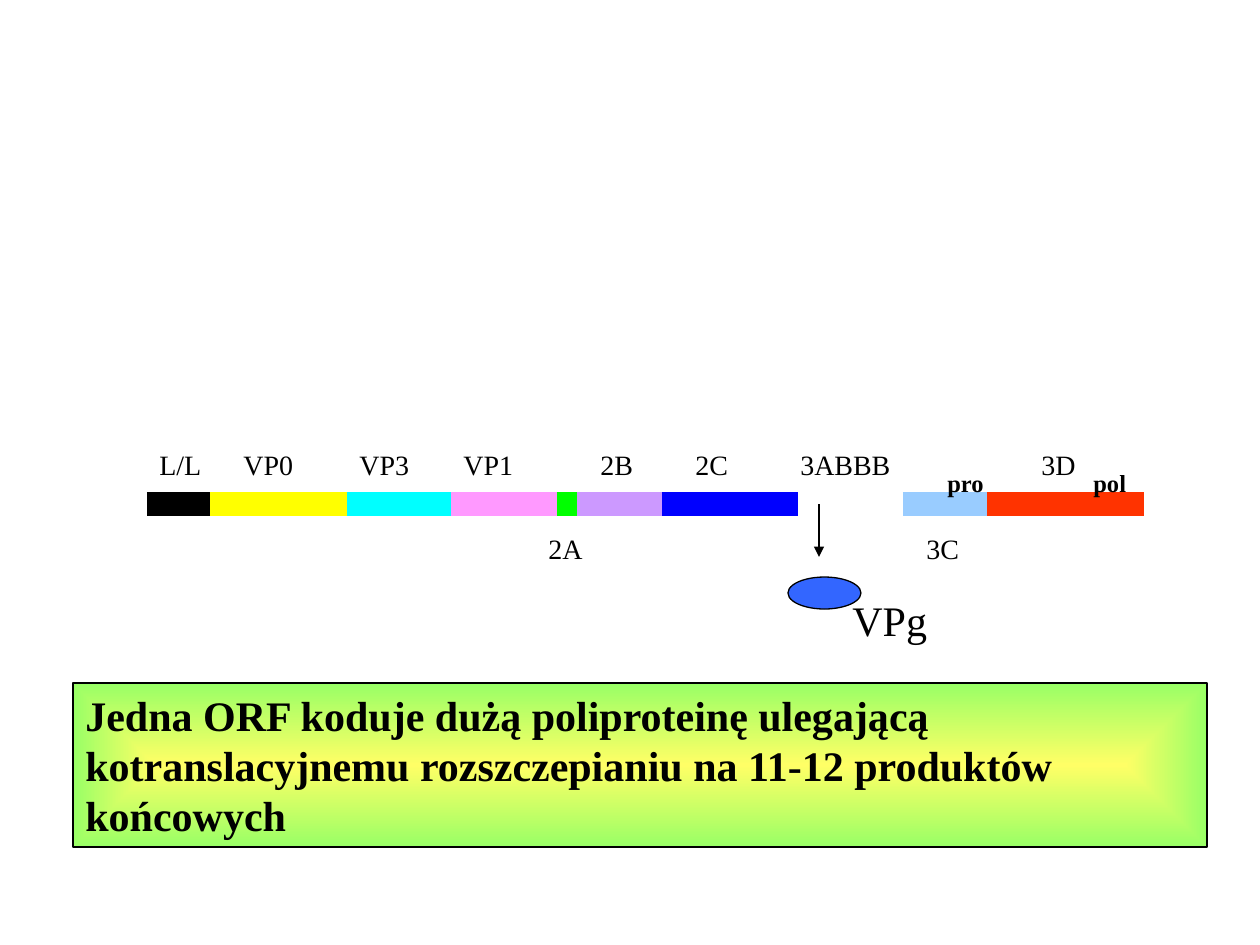
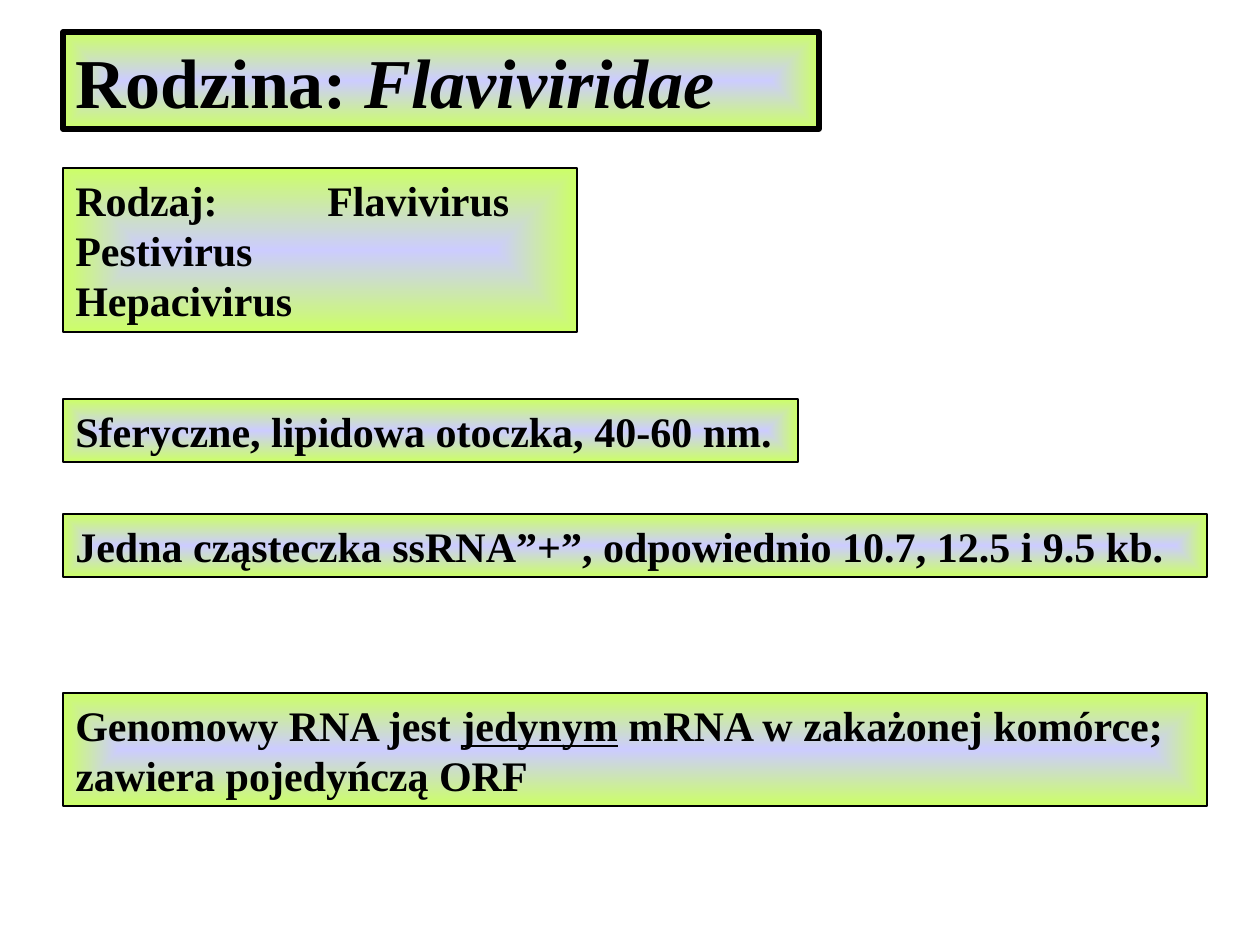
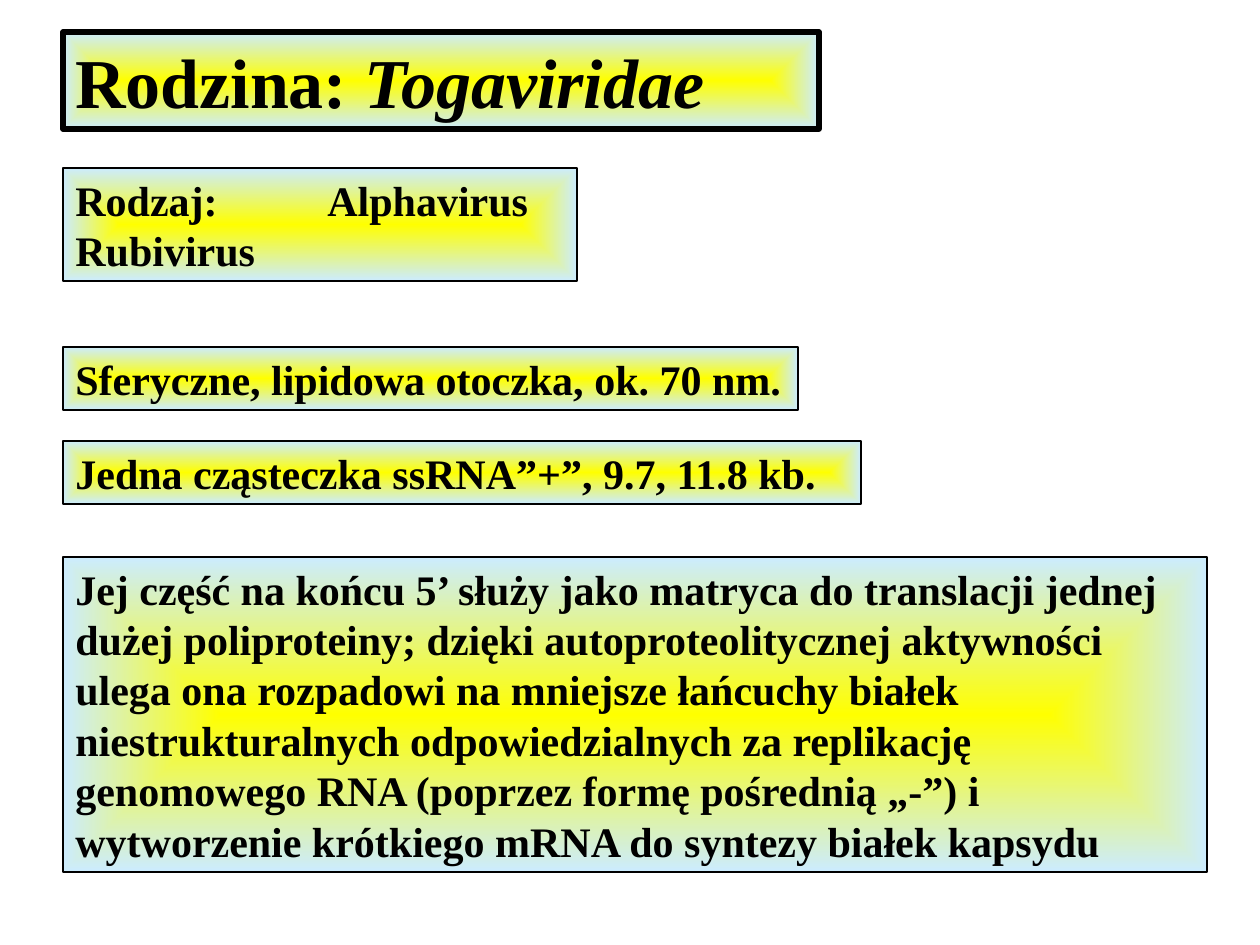
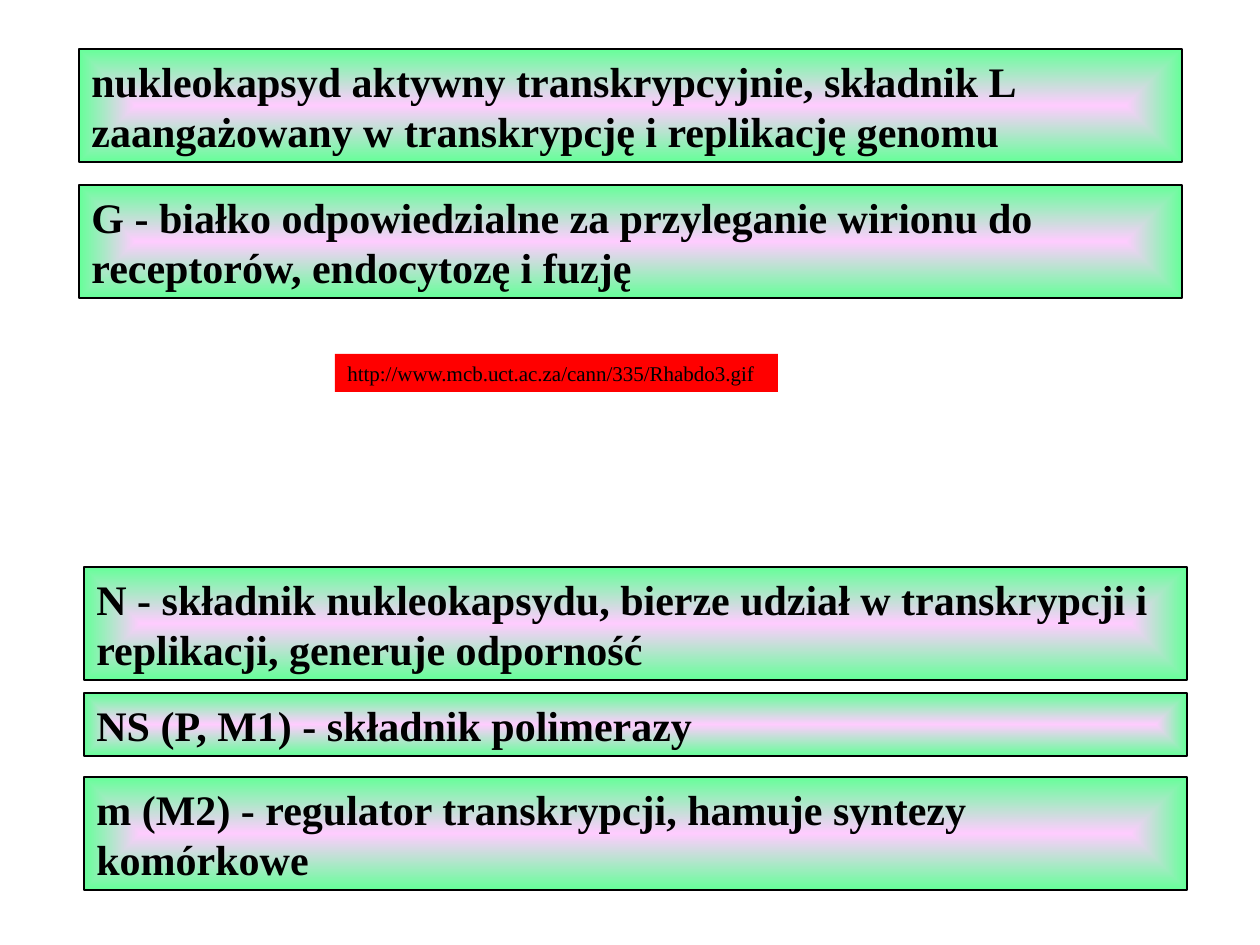
"""Build four slides on the genomes and proteins of RNA virus families."""
from lxml import etree
from pptx import Presentation
from pptx import util as u
from pptx.dml.color import RGBColor
from pptx.enum import shapes, text
from pptx.oxml.ns import qn

FONT = "Times New Roman"
SCALE = 914400 / 126
SLIDE_W, SLIDE_H = 1260, 945
HEIGHTS = {1: 63, 2: 113, 3: 164, 6: 315}
C = {
    "black": "000000", "white": "FFFFFF", "yellow": "FFFF00", "cyan": "00FFFF",
    "pink": "FF99FF", "green": "00FF00", "violet": "CC99FF", "blue": "0000FF",
    "sky": "99CCFF", "orange": "FF3300", "oval": "3366FF", "red": "FF0000",
}
GRADIENTS = {
    "orf": ("FFFF66", "99FF66"),
    "flavi": ("CCCCFF", "CCFF66"),
    "toga": ("FFFF00", "CCECFF"),
    "rhabdo": ("FFCCFF", "66FF99"),
}

GENOME_LEFT, GENOME_Y = 147, 504
GENOME = [
    ("black", 210), ("yellow", 347), ("cyan", 451), ("pink", 557), ("green", 577),
    ("violet", 662), ("blue", 798), ("white", 903), ("sky", 987), ("orange", 1144),
]
ABOVE, BELOW = 441, 525
GENE_LABELS = [
    ("L/L", 147, ABOVE, 73), ("VP0", 231, ABOVE, 95), ("VP3", 347, ABOVE, 95),
    ("VP1", 451, ABOVE, 95), ("2A", 536, BELOW, 95), ("2B", 588, ABOVE, 95),
    ("2C", 683, ABOVE, 95), ("3ABBB", 788, ABOVE, 116), ("3C", 914, BELOW, 95),
    ("3D", 1029, ABOVE, 95),
]
ENZYME_LABELS = [("pro", 935), ("pol", 1081)]
ORF = [(73, 683, 1134, 3, ["Jedna ORF koduje dużą poliproteinę ulegającą "
        "kotranslacyjnemu rozszczepianiu na 11-12 produktów końcowych"])]

FAMILIES = [
    ("flavi", "Flaviviridae", [
        (63, 168, 514, 3, ["Rodzaj:\tFlavivirus\vPestivirus\vHepacivirus"]),
        (63, 399, 735, 1, ["Sferyczne, lipidowa otoczka, 40-60 nm."]),
        (63, 514, 1144, 1, ["Jedna cząsteczka ssRNA”+”, odpowiednio 10.7, 12.5 i 9.5 kb."]),
        (63, 693, 1144, 2, ["Genomowy RNA jest ", "jedynym",
                            " mRNA w zakażonej komórce; zawiera pojedyńczą ORF"]),
    ]),
    ("toga", "Togaviridae", [
        (63, 168, 514, 2, ["Rodzaj:\tAlphavirus\vRubivirus"]),
        (63, 347, 735, 1, ["Sferyczne, lipidowa otoczka, ok. 70 nm."]),
        (63, 441, 798, 1, ["Jedna cząsteczka ssRNA”+”, 9.7, 11.8 kb."]),
        (63, 557, 1144, 6, [
            "Jej część na końcu 5’ służy jako matryca do translacji jednej dużej "
            "poliproteiny; dzięki autoproteolitycznej aktywności ulega ona rozpadowi "
            "na mniejsze łańcuchy białek niestrukturalnych odpowiedzialnych za "
            "replikację genomowego RNA (poprzez formę pośrednią „-”) i wytworzenie "
            "krótkiego mRNA do syntezy białek kapsydu"]),
    ]),
]

RHABDO = [
    (79, 49, 1103, 2, ["nukleokapsyd aktywny transkrypcyjnie, składnik L "
                       "zaangażowany w transkrypcję i replikację genomu"]),
    (79, 185, 1103, 2, ["G - białko odpowiedzialne za przyleganie wirionu do "
                        "receptorów, endocytozę i fuzję"]),
    (84, 567, 1103, 2, ["N - składnik nukleokapsydu, bierze udział w transkrypcji i "
                        "replikacji, generuje odporność"]),
    (84, 693, 1103, 1, ["NS (P, M1) - składnik polimerazy"]),
    (84, 777, 1103, 2, ["m (M2) - regulator transkrypcji, hamuje syntezy komórkowe"]),
]
SOURCE_URL = "http://www.mcb.uct.ac.za/cann/335/Rhabdo3.gif"


def px(*values):
    return [u.Emu(round(v * SCALE)) for v in values]


def rgb(name):
    return RGBColor.from_string(C[name])


def write(sp, pieces, size, bold=False):
    tf = sp.text_frame
    tf.word_wrap = True
    tf.auto_size = text.MSO_AUTO_SIZE.SHAPE_TO_FIT_TEXT
    tf.vertical_anchor = text.MSO_ANCHOR.TOP
    p = tf.paragraphs[0]
    p.text = pieces[0]
    p.alignment = text.PP_ALIGN.LEFT
    if "\t" in pieces[0]:
        tabs = etree.SubElement(p._p.get_or_add_pPr(), qn("a:tabLst"))
        etree.SubElement(tabs, qn("a:tab"), pos=str(u.Inches(2)), algn="l")
    for piece in pieces[1:]:
        p.add_run().text = piece
    for r in p.runs:
        r.font.name, r.font.size, r.font.bold = FONT, u.Pt(size), bold
        r.font.color.rgb = rgb("black")
    return p.runs


def label(s, words, x, y, w, h, size, bold=False):
    write(s.shapes.add_textbox(*px(x, y, w, h)), [words], size, bold)


def shape(s, kind, x, y, w, h, fill=None, line=None):
    sp = s.shapes.add_shape(kind, *px(x, y, w, h))
    sp.shadow.inherit = False
    if fill:
        sp.fill.solid()
        sp.fill.fore_color.rgb = rgb(fill)
    if line:
        sp.line.color.rgb = rgb("black")
        sp.line.width = u.Pt(line)
    else:
        sp.line.fill.background()
    return sp


def card(s, scheme, x, y, w, h, pieces, size=24, line=1):
    sp = shape(s, shapes.MSO_SHAPE.RECTANGLE, x, y, w, h, line=line)
    sp.fill.gradient()
    for stop, colour in zip(sp.fill.gradient_stops, GRADIENTS[scheme]):
        stop.color.rgb = RGBColor.from_string(colour)
    grad = sp._element.spPr.find(qn("a:gradFill"))
    grad.remove(grad.find(qn("a:lin")))
    centre = etree.SubElement(grad, qn("a:path"), {"path": "rect"})
    etree.SubElement(centre, qn("a:fillToRect"), {side: "50000" for side in "ltrb"})
    return write(sp, pieces, size, bold=True)


def cards(s, scheme, rows):
    for x, y, w, lines, pieces in rows:
        runs = card(s, scheme, x, y, w, HEIGHTS[lines], pieces)
        if len(pieces) > 1:
            runs[1].font.underline = True


def line(s, x1, y1, x2, y2, colour, width, arrow=False):
    cn = s.shapes.add_connector(shapes.MSO_CONNECTOR.STRAIGHT, *px(x1, y1, x2, y2))
    cn.line.color.rgb = rgb(colour)
    cn.line.width = u.Pt(width)
    if arrow:
        etree.SubElement(cn.line._get_or_add_ln(), qn("a:tailEnd"), type="triangle")
    etree.SubElement(cn._element.spPr, qn("a:effectLst"))


def genome_slide(s):
    left = GENOME_LEFT
    for colour, right in GENOME:
        line(s, left, GENOME_Y, right, GENOME_Y, colour, 14)
        left = right
    for words, x, y, w in GENE_LABELS:
        label(s, words, x, y, w, 47, 16)
    cards(s, "orf", ORF)
    for words, x in ENZYME_LABELS:
        label(s, words, x, 462, 63, 43, 14, bold=True)
    line(s, 819, GENOME_Y, 819, 557, "black", 0.75, arrow=True)
    shape(s, shapes.MSO_SHAPE.OVAL, 788, 577, 73, 32, "oval", 0.75)
    label(s, "VPg", 840, 588, 136, 63, 24)


def family_slide(s, scheme, family, rows):
    runs = card(s, scheme, 63, 32, 756, 97, ["Rodzina: ", family], size=40, line=3)
    runs[1].font.italic = True
    cards(s, scheme, rows)


def rhabdo_slide(s):
    cards(s, "rhabdo", RHABDO)
    sp = shape(s, shapes.MSO_SHAPE.RECTANGLE, 335, 354, 443, 38, "red")
    write(sp, [SOURCE_URL], 12)


def main():
    prs = Presentation()
    prs.slide_width, prs.slide_height = px(SLIDE_W, SLIDE_H)

    def new_slide():
        return prs.slides.add_slide(prs.slide_layouts[6])

    genome_slide(new_slide())
    for family in FAMILIES:
        family_slide(new_slide(), *family)
    rhabdo_slide(new_slide())
    prs.save("out.pptx")


if __name__ == "__main__":
    main()
